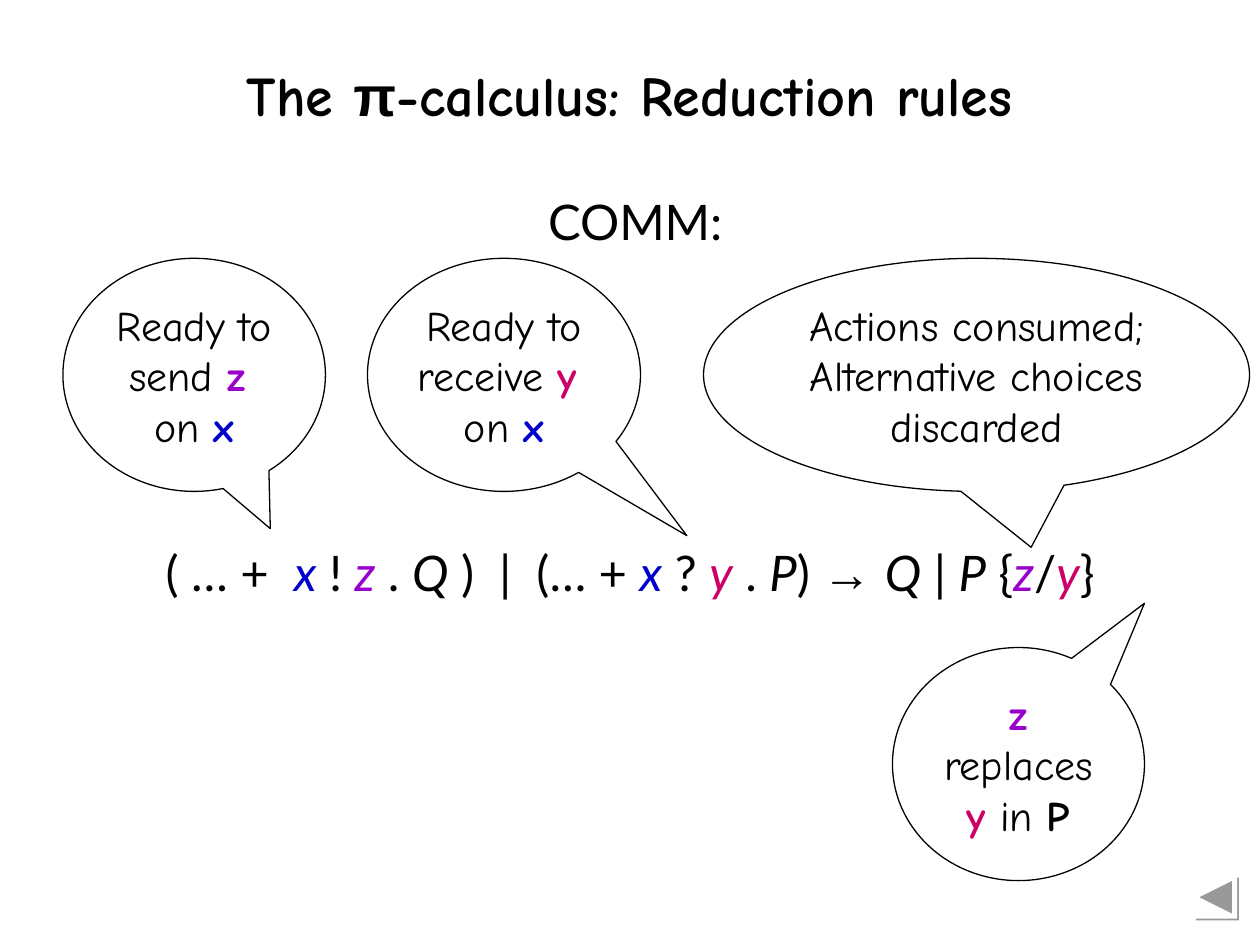
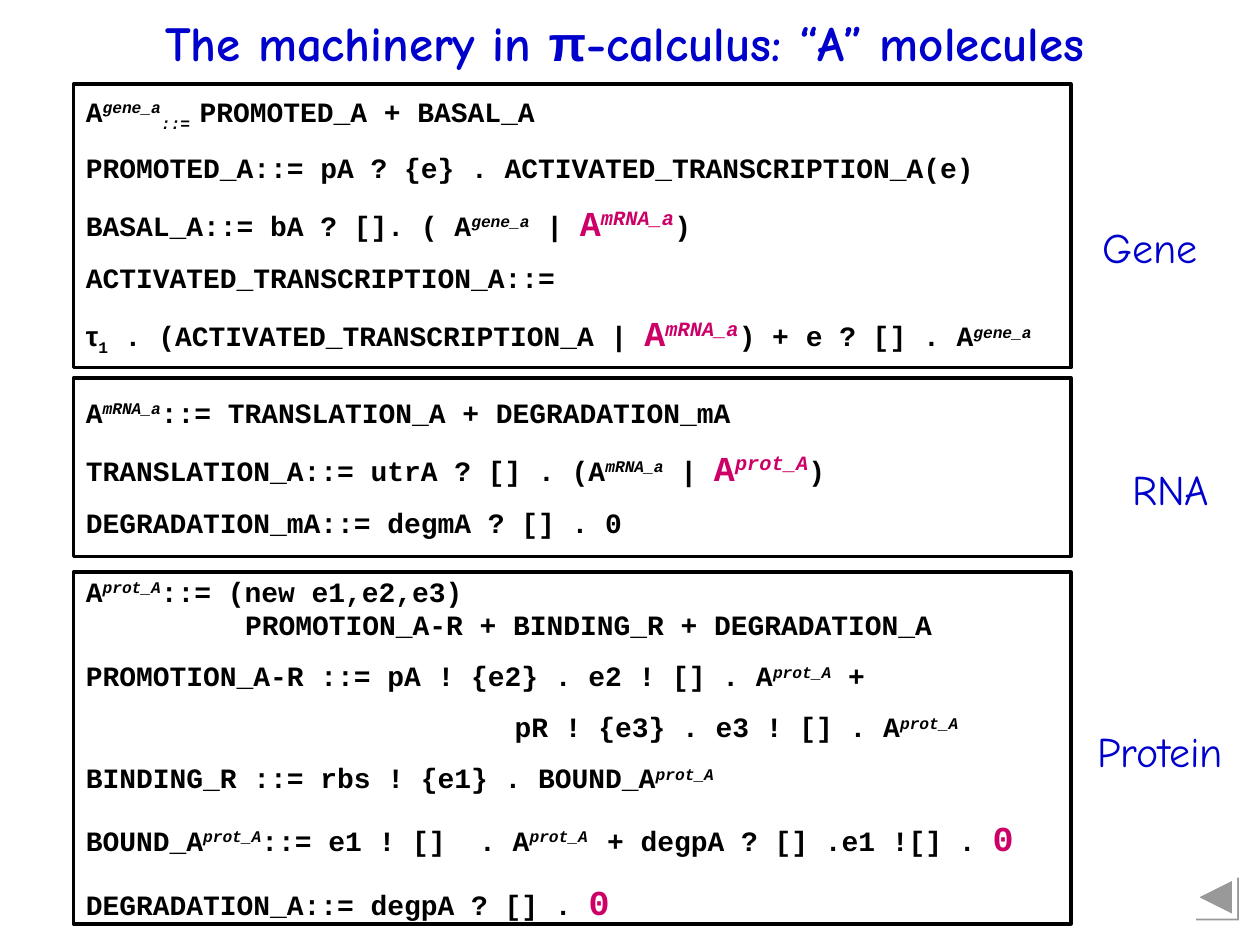
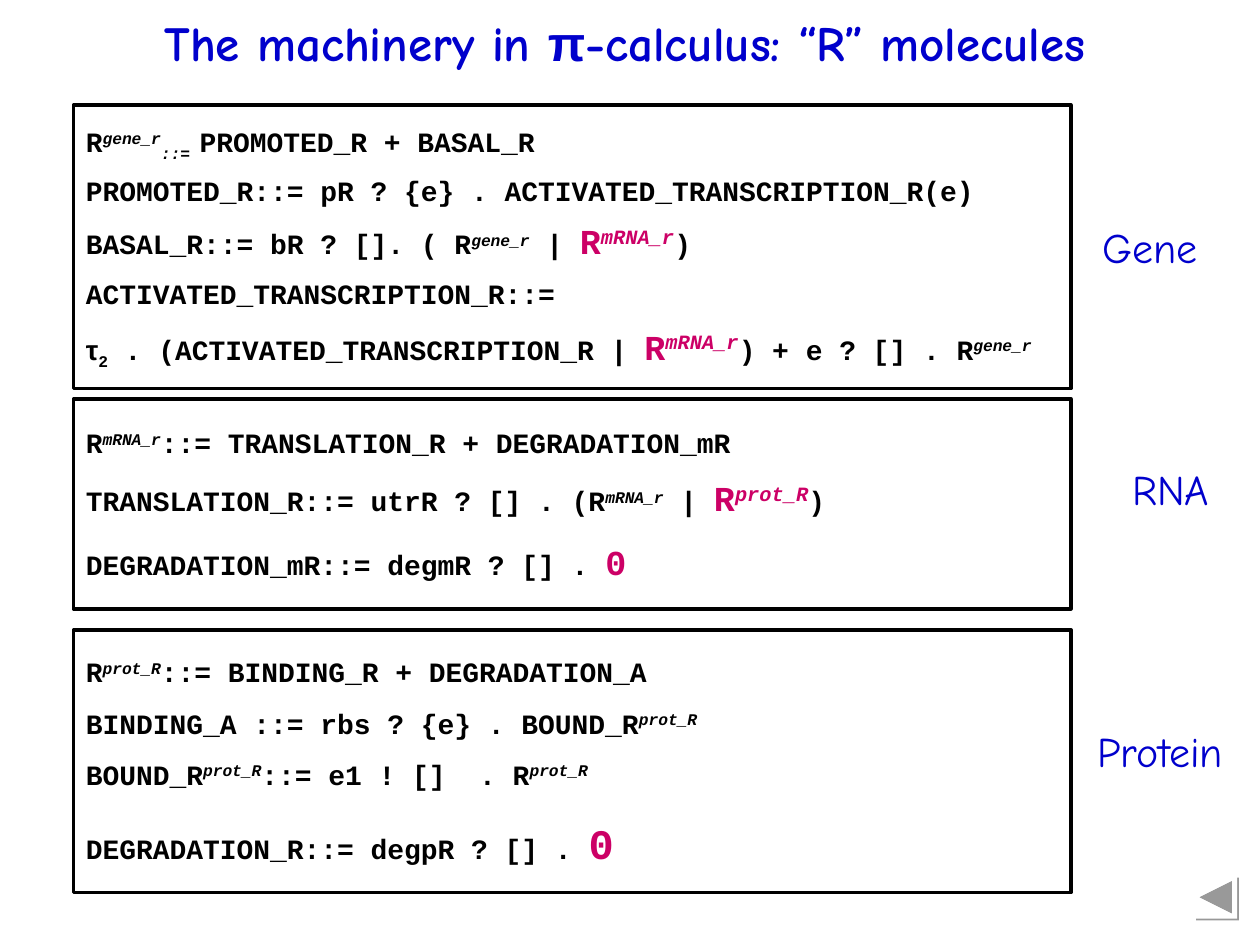
from lxml.etree import SubElement
from pptx import Presentation
from pptx.dml.color import RGBColor
from pptx.enum.shapes import MSO_SHAPE as SHAPE
from pptx.enum.text import MSO_ANCHOR as ANCHOR, MSO_AUTO_SIZE as AUTO, PP_ALIGN as ALIGN
from pptx.oxml.ns import qn
from pptx.util import Pt

BLACK, WHITE, GREY = "000000", "FFFFFF", "989898"
BLUE, PURPLE, PINK = "0000CC", "9900CC", "CC0066"
COMIC, LATO, CODE, SYMBOL = "Comic Neue", "Lato", "Courier New", "Arial"


def rgb(hex_text):
    return RGBColor.from_string(hex_text)


def run(text, **fmt):
    return text, fmt


def para(*runs, before=0, indent=0, spacing=None):
    return {"runs": runs, "before": before, "indent": indent, "spacing": spacing}


def add_run(p, text, font=COMIC, size=24, color=BLACK, bold=False, italic=False, base=0):
    """Add formatted text to a paragraph; a newline becomes a line break."""
    for n, line in enumerate(text.split("\n")):
        if n:
            p.add_line_break()
        if not line:
            continue
        r = p.add_run()
        r.text = line
        f = r.font
        f.name, f.size, f.bold, f.italic = font, Pt(size), bold, italic
        f.color.rgb = rgb(color)
        if base:
            r._r.get_or_add_rPr().set("baseline", str(base * 1000))


def fill_text(s, paras, align=ALIGN.CENTER, wrap=True, inset=7.2, **fmt):
    """Write paragraphs whose runs are plain strings or (text, format) pairs."""
    tf = s.text_frame
    tf.auto_size, tf.word_wrap = AUTO.NONE, wrap
    tf.vertical_anchor = ANCHOR.MIDDLE
    tf.margin_left = tf.margin_right = Pt(inset)
    tf.margin_top = tf.margin_bottom = Pt(3.6)
    for n, item in enumerate(paras):
        p = tf.add_paragraph() if n else tf.paragraphs[0]
        pPr = p._p.get_or_add_pPr()
        pPr.set("marL", str(Pt(item["indent"])))
        pPr.set("indent", "0")
        SubElement(pPr, qn("a:buNone"))
        p.alignment = align
        p.space_before = Pt(item["before"] if n else 0)
        if item["spacing"]:
            p.line_spacing = item["spacing"]
        for piece in item["runs"]:
            text, own = run(piece) if isinstance(piece, str) else piece
            add_run(p, text, **{**fmt, **own})


class Deck:
    TITLE_AND_BODY, TITLE_ONLY = 1, 5

    def __init__(self):
        self.prs = Presentation()
        self.prs.slide_width, self.prs.slide_height = Pt(720), Pt(540)
        self.slide = None

    def new_slide(self, layout):
        self.slide = self.prs.slides.add_slide(self.prs.slide_layouts[layout])
        for s in list(self.slide.placeholders):
            if s.placeholder_format.idx > 1:
                s.element.getparent().remove(s.element)
        self.back_button()

    def shape(self, kind, box, line=None, adjust=()):
        s = self.slide.shapes.add_shape(kind, *map(Pt, box))
        s.shadow.inherit = False
        s.fill.background()
        if line:
            s.line.color.rgb, s.line.width = rgb(BLACK), Pt(line)
        else:
            s.line.fill.background()
        for n, value in enumerate(adjust):
            s.adjustments[n] = value
        return s

    def back_button(self):
        s = self.shape(SHAPE.ACTION_BUTTON_BACK_OR_PREVIOUS, (682.5, 500.5, 24.5, 24.5))
        s.fill.solid()
        s.fill.fore_color.rgb = rgb(WHITE)
        effects = s.element.spPr.find(qn("a:effectLst"))
        shadow = SubElement(effects, qn("a:outerShdw"), dist=str(Pt(1.4)), dir="2700000")
        SubElement(shadow, qn("a:srgbClr"), val=GREY)

    def placeholder(self, s, box, paras, **fmt):
        s.left, s.top, s.width, s.height = map(Pt, box)
        fill_text(s, paras, **fmt)

    def title(self, box, before, after, **fmt):
        line = para(before, run("π", font=SYMBOL), after)
        self.placeholder(self.slide.shapes.title, box, [line], bold=True, **fmt)

    def body(self, box, text, **fmt):
        self.placeholder(self.slide.placeholders[1], box, [para(text)], align=ALIGN.LEFT, **fmt)

    def text(self, box, *runs, **fmt):
        s = self.slide.shapes.add_textbox(*map(Pt, box))
        fill_text(s, [para(*runs)], wrap=False, **fmt)

    def callout(self, box, tip, *runs):
        s = self.shape(SHAPE.OVAL_CALLOUT, box, line=0.75, adjust=tip)
        fill_text(s, [para(*runs)], inset=3.6)

    def code_box(self, top, height, paras):
        s = self.shape(SHAPE.RECTANGLE, (42, top, 570, height), line=2)
        fill_text(s, paras, align=ALIGN.LEFT, font=CODE, size=16, bold=True)


# Pieces of the process definitions
def sup(text, **fmt):
    return run(text, italic=True, base=30, **fmt)


def hot(text, size=20):
    return run(text, size=size, color=PINK)


def hot_pair(name, state):
    return hot(name), sup(state, size=20, color=PINK)


def rule(*runs, before=10, **layout):
    return para(*runs, before=before, **layout)


def gene_rules(m, tau, spacing=None):
    gene = sup(f"gene_{m.lower()}")
    mrna = hot_pair(m, f"mRNA_{m.lower()}")
    lines = [
        (m, gene, run("::= ", italic=True, base=-25), f"PROMOTED_{m} + BASAL_{m}"),
        (f"PROMOTED_{m}::= p{m} ? {{e}} . ACTIVATED_TRANSCRIPTION_{m}(e)",),
        (f"BASAL_{m}::= b{m} ? []. ( {m}", gene, " | ", *mrna, ")"),
        (f"ACTIVATED_TRANSCRIPTION_{m}::=",),
        (run("τ", font=SYMBOL), run(tau, base=-25), f" . (ACTIVATED_TRANSCRIPTION_{m} | ",
         *mrna, f") + e ? [] . {m}", gene),
    ]
    return [rule(*line, spacing=spacing) for line in lines]


def rna_rules(m, end, before):
    mrna = sup(f"mRNA_{m.lower()}")
    return [
        rule(m, mrna, f"::= TRANSLATION_{m} + DEGRADATION_m{m}"),
        rule(f"TRANSLATION_{m}::= utr{m} ? [] . ({m}", mrna, " | ",
             *hot_pair(m, f"prot_{m}"), ")"),
        rule(f"DEGRADATION_m{m}::= degm{m} ? [] . ", end, before=before),
    ]


def protein_a_rules():
    prot = sup("prot_A")
    return [
        rule("A", prot, "::= (new e1,e2,e3)"),
        rule("PROMOTION_A-R + BINDING_R + DEGRADATION_A", before=0, indent=91),
        rule("PROMOTION_A-R ::= pA ! {e2} . e2 ! [] . A", prot, " +"),
        rule("pR ! {e3} . e3 ! [] . A", prot, indent=245),
        rule("BINDING_R ::= rbs ! {e1} . BOUND_A", prot),
        rule("BOUND_A", prot, "::= e1 ! []  . A", sup("prot_A  "),
             "+ degpA ? [] .e1 ![] . ", hot("0"), before=12.5),
        rule("DEGRADATION_A::= degpA ? [] . ", hot("0"), before=12.5),
    ]


def protein_r_rules():
    prot = sup("prot_R")
    return [
        rule("R", prot, "::= BINDING_R + DEGRADATION_A"),
        rule("BINDING_A ::= rbs ? {e} . BOUND_R", prot),
        rule("BOUND_R", prot, "::= e1 ! []  . R", prot),
        rule("DEGRADATION_R::= degpR ? [] . ", hot("0", size=24), before=15),
    ]


def reduction_slide(deck):
    deck.new_slide(deck.TITLE_AND_BODY)
    deck.title((36, 24, 648, 60), "The ", "-calculus: Reduction rules", size=32)
    deck.body((306, 90, 120, 72), "COMM:", font=LATO, size=28)

    # Callouts
    top, height = 147.6, 133.2
    z, y = run("z", color=PURPLE, bold=True), run("y", color=PINK, bold=True)
    x = run("x", color=BLUE, bold=True)
    deck.callout((510, 370, 144, height), (0.5, -0.69),
                 z, " replaces ", y, " in ", run("P", bold=True))
    deck.callout((402, top, 312, height), (0.1, 0.74),
                 "Actions consumed;\nAlternative choices discarded")
    deck.callout((36, top, 150, height), (0.29, 0.66), "Ready to send ", z, " \non ", x)
    deck.callout((210, top, 156, height), (0.67, 0.69), "Ready to receive ", y, " \non ", x)

    # Reduction formula
    def var(name, color=BLACK):
        return run(name, color=color, italic=True)

    x, y, z = var("x", BLUE), var("y", PINK), var("z", PURPLE)
    deck.text((24, 282, 672, 90),
              "( … +  ", x, " ! ", z, " . ", var("Q"), " )  |  (… + ", x, " ? ", y, " . ",
              var("P"), ") ", run("→ ", font=SYMBOL), var("Q"), " | ", var("P"),
              " {", z, "/", y, "}", font=LATO, size=28)


def molecule_slide(deck, name, boxes):
    deck.new_slide(deck.TITLE_ONLY)
    deck.title((12, -6, 690, 60), "The machinery in ", f"-calculus: “{name}” molecules",
               size=28, color=BLUE)
    for box in boxes:
        deck.code_box(*box)
    for left, top, label in ((618, 114, "Gene"), (630, 252, "RNA"), (624, 402, "Protein")):
        deck.text((left, top, 78, 54), label, color=BLUE)


def main():
    deck = Deck()
    reduction_slide(deck)
    molecule_slide(deck, "A", [
        (48, 162, gene_rules("A", "1")),
        (216, 102, rna_rules("A", "0", before=10)),
        (327, 201, protein_a_rules()),
    ])
    molecule_slide(deck, "R", [
        (60, 162, gene_rules("R", "2", spacing=0.9)),
        (228, 120, rna_rules("R", hot("0"), before=12.5)),
        (360, 150, protein_r_rules()),
    ])
    deck.prs.save("out.pptx")


if __name__ == "__main__":
    main()
